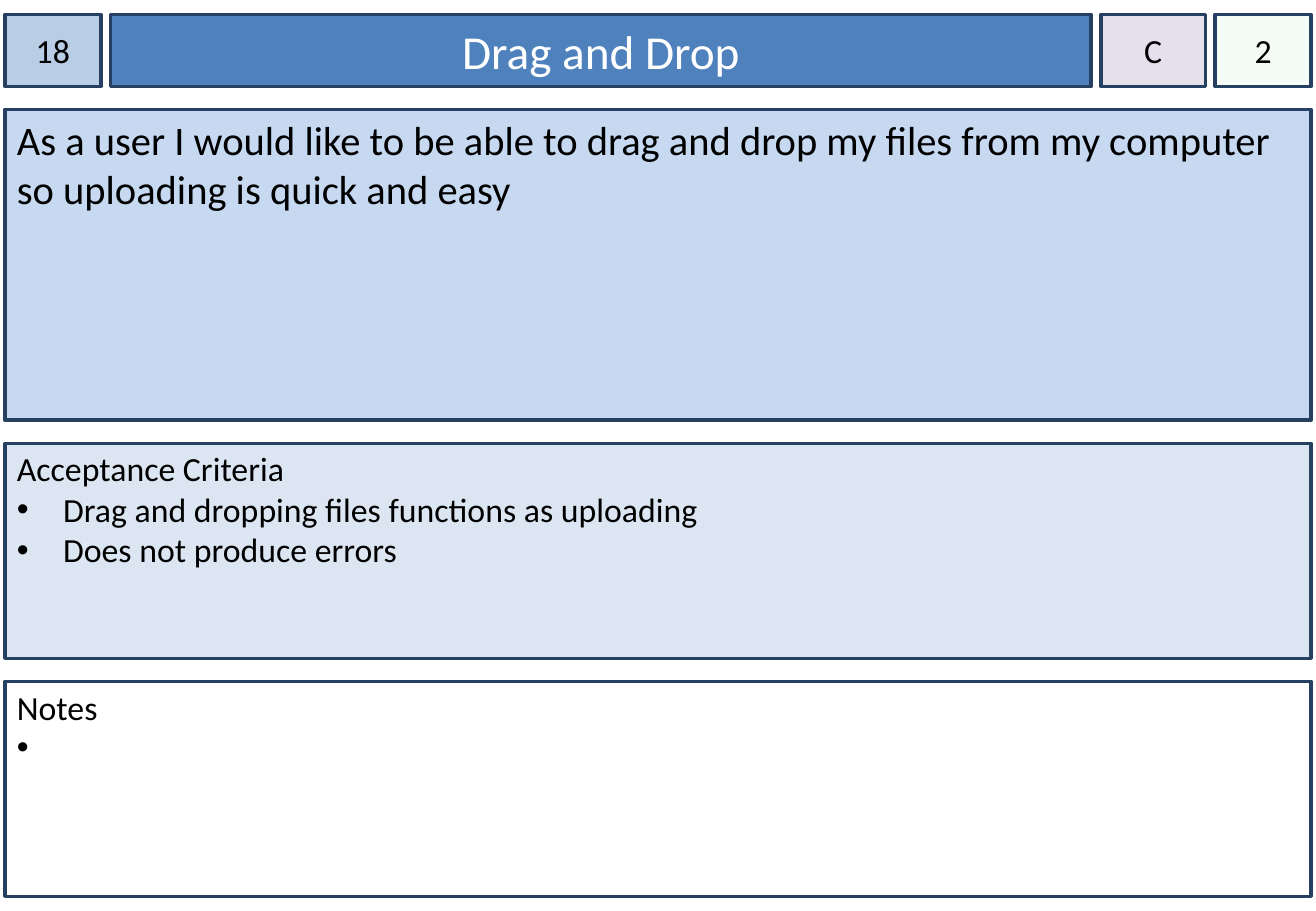
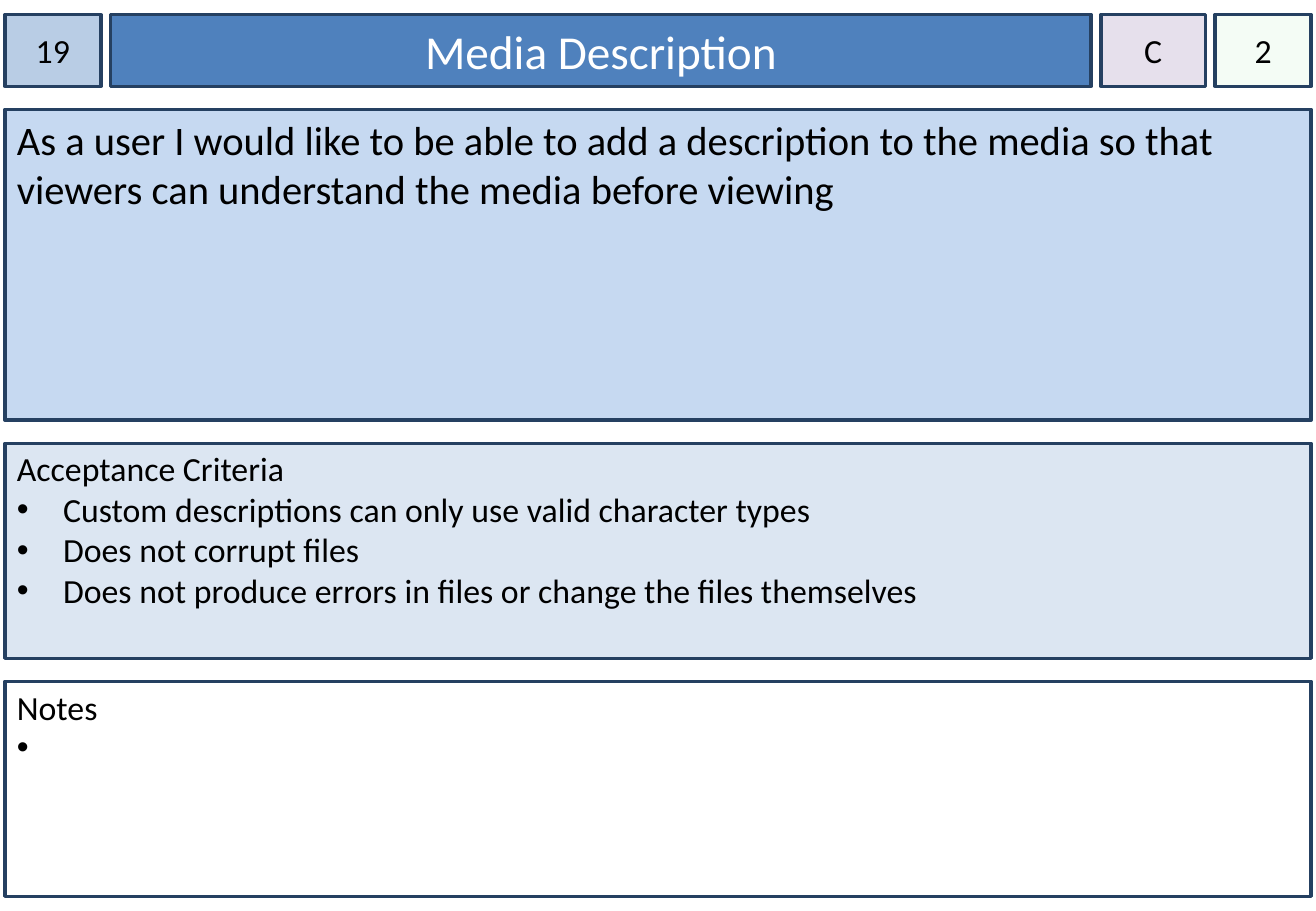
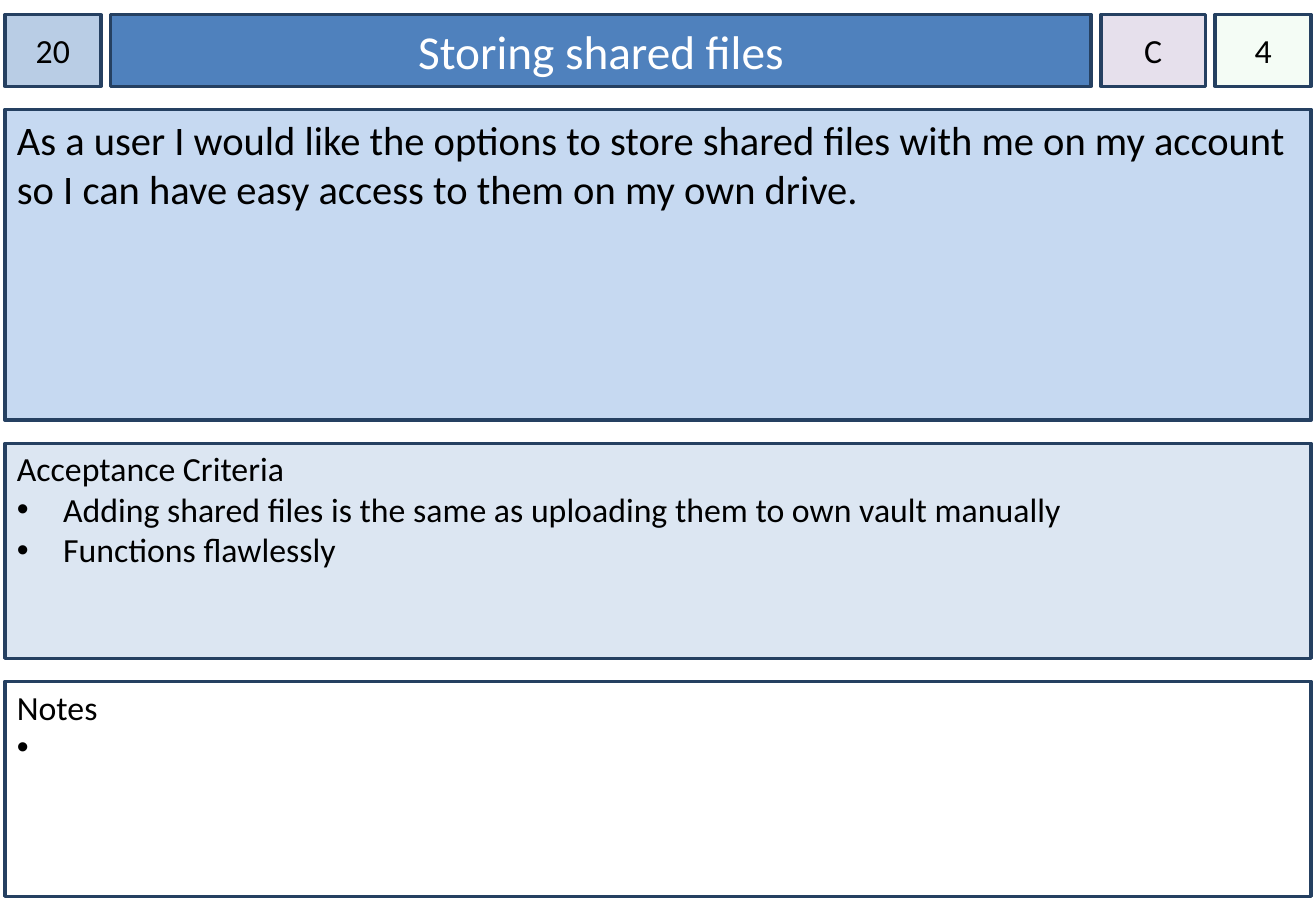
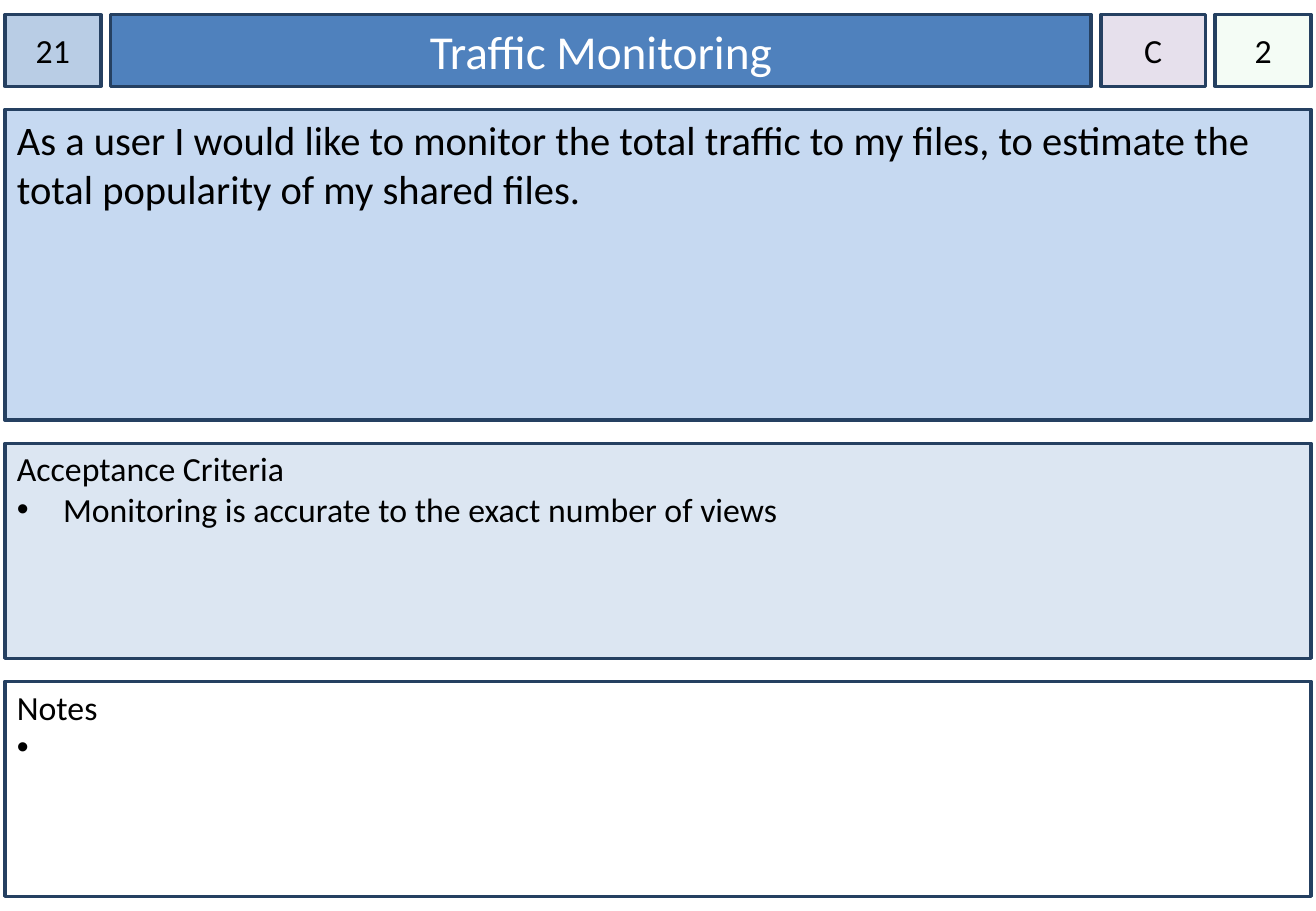
from dataclasses import dataclass

from lxml.etree import SubElement
from pptx import Presentation
from pptx.dml.color import RGBColor
from pptx.enum.shapes import MSO_SHAPE as Preset
from pptx.enum.text import MSO_ANCHOR as Anchor, PP_ALIGN as Align
from pptx.oxml.ns import qn
from pptx.slide import Slide
from pptx.util import Inches, Pt

FONT = "Calibri"
BLACK = RGBColor(0x00, 0x00, 0x00)
WHITE = RGBColor(0xFF, 0xFF, 0xFF)
NAVY = RGBColor(0x25, 0x40, 0x61)
BLUE = RGBColor(0x4F, 0x81, 0xBD)
STEEL = RGBColor(0xB9, 0xCD, 0xE5)
SKY = RGBColor(0xC6, 0xD9, 0xF1)
PALE = RGBColor(0xDC, 0xE6, 0xF2)
LILAC = RGBColor(0xE6, 0xE0, 0xEC)
MINT = RGBColor(0xCC, 0xF0, 0xCD)

SLIDE_WIDTH, SLIDE_HEIGHT = 10.83, 7.5
MARGIN = 0.04
CONTENT_WIDTH = SLIDE_WIDTH - 2 * MARGIN
COLUMN_GAP, ROW_GAP = 0.08, 0.19
BADGE_WIDTH, PRIORITY_WIDTH = 0.79, 0.86
HEADER_TOP, HEADER_HEIGHT = 0.12, 0.59
STORY_HEIGHT, LIST_HEIGHT = 2.56, 1.77

TITLE_LEFT = MARGIN + BADGE_WIDTH + COLUMN_GAP
ESTIMATE_LEFT = SLIDE_WIDTH - MARGIN - BADGE_WIDTH
PRIORITY_LEFT = ESTIMATE_LEFT - COLUMN_GAP - PRIORITY_WIDTH
TITLE_WIDTH = PRIORITY_LEFT - COLUMN_GAP - TITLE_LEFT
STORY_TOP = HEADER_TOP + HEADER_HEIGHT + ROW_GAP
CRITERIA_TOP = STORY_TOP + STORY_HEIGHT + ROW_GAP
NOTES_TOP = CRITERIA_TOP + LIST_HEIGHT + ROW_GAP


@dataclass(frozen=True)
class Panel:
    left: float
    top: float
    width: float
    height: float
    fill: RGBColor
    size: int = 20
    color: RGBColor = BLACK
    centered: bool = False
    side_inset: float = 0.1
    top_inset: float = 0.05
    indent: float = 0
    opacity: int = 100


@dataclass(frozen=True)
class StoryCard:
    number: str
    title: str
    story: str
    criteria: tuple[str, ...]
    estimate: str
    priority: str = "C"


def header_panel(left: float, width: float, fill: RGBColor, size: int = 20,
                 color: RGBColor = BLACK, side_inset: float = 0,
                 opacity: int = 100) -> Panel:
    return Panel(left, HEADER_TOP, width, HEADER_HEIGHT, fill, size, color,
                 True, side_inset, opacity=opacity)


def list_panel(top: float, fill: RGBColor, indent: float) -> Panel:
    return Panel(MARGIN, top, CONTENT_WIDTH, LIST_HEIGHT, fill,
                 top_inset=0.04, indent=indent)


NUMBER = header_panel(MARGIN, BADGE_WIDTH, STEEL)
TITLE = header_panel(TITLE_LEFT, TITLE_WIDTH, BLUE, 28, WHITE, 0.1)
PRIORITY = header_panel(PRIORITY_LEFT, PRIORITY_WIDTH, LILAC)
ESTIMATE = header_panel(ESTIMATE_LEFT, BADGE_WIDTH, MINT, opacity=20)
STORY = Panel(MARGIN, STORY_TOP, CONTENT_WIDTH, STORY_HEIGHT, SKY, 24)
CRITERIA = list_panel(CRITERIA_TOP, PALE, 0.38)
NOTES = list_panel(NOTES_TOP, WHITE, 0.2)

CARDS = (
    StoryCard(
        "18", "Drag and Drop",
        "As a user I would like to be able to drag and drop my files from my "
        "computer so uploading is quick and easy",
        ("Drag and dropping files functions as uploading",
         "Does not produce errors"),
        "2"),
    StoryCard(
        "19", "Media Description",
        "As a user I would like to be able to add a description to the media "
        "so that viewers can understand the media before viewing",
        ("Custom descriptions can only use valid character types",
         "Does not corrupt files",
         "Does not produce errors in files or change the files themselves"),
        "2"),
    StoryCard(
        "20", "Storing shared files",
        "As a user I would like the options to store shared files with me on "
        "my account so I can have easy access to them on my own drive.",
        ("Adding shared files is the same as uploading them to own vault manually",
         "Functions flawlessly"),
        "4"),
    StoryCard(
        "21", "Traffic Monitoring",
        "As a user I would like to monitor the total traffic to my files, to "
        "estimate the total popularity of my shared files.",
        ("Monitoring is accurate to the exact number of views",),
        "2"),
)


def add_bullet(paragraph, indent: float) -> None:
    properties = paragraph._p.get_or_add_pPr()
    properties.set("marL", str(Inches(indent)))
    properties.set("indent", str(-Inches(indent)))
    SubElement(properties, qn("a:buFont")).set("typeface", "Arial")
    SubElement(properties, qn("a:buChar")).set("char", "•")


def draw_panel(slide: Slide, panel: Panel, text: str,
               bullets: tuple[str, ...] = ()) -> None:
    shape = slide.shapes.add_shape(
        Preset.RECTANGLE, Inches(panel.left), Inches(panel.top),
        Inches(panel.width), Inches(panel.height))
    shape.shadow.inherit = False
    shape.fill.solid()
    shape.fill.fore_color.rgb = panel.fill
    if panel.opacity < 100:
        color = shape._element.spPr.find(qn("a:solidFill"))[0]
        SubElement(color, qn("a:alpha")).set("val", str(panel.opacity * 1000))
    shape.line.color.rgb = NAVY
    shape.line.width = Pt(2)

    frame = shape.text_frame
    frame.word_wrap = True
    frame.vertical_anchor = Anchor.MIDDLE if panel.centered else Anchor.TOP
    frame.margin_left = frame.margin_right = Inches(panel.side_inset)
    frame.margin_top = Inches(panel.top_inset)
    frame.margin_bottom = Inches(0.05)
    for index, line in enumerate((text, *bullets)):
        paragraph = frame.add_paragraph() if index else frame.paragraphs[0]
        paragraph.alignment = Align.CENTER if panel.centered else Align.LEFT
        if index:
            add_bullet(paragraph, panel.indent)
        run = paragraph.add_run()
        run.text = line
        run.font.name = FONT
        run.font.size = Pt(panel.size)
        run.font.color.rgb = panel.color


def draw_card(slide: Slide, card: StoryCard) -> None:
    draw_panel(slide, NUMBER, card.number)
    draw_panel(slide, TITLE, card.title)
    draw_panel(slide, STORY, card.story)
    draw_panel(slide, CRITERIA, "Acceptance Criteria", card.criteria)
    draw_panel(slide, ESTIMATE, card.estimate)
    draw_panel(slide, PRIORITY, card.priority)
    draw_panel(slide, NOTES, "Notes", (" ",))


def main() -> None:
    presentation = Presentation()
    presentation.slide_width = Inches(SLIDE_WIDTH)
    presentation.slide_height = Inches(SLIDE_HEIGHT)
    blank = presentation.slide_layouts[6]
    for card in CARDS:
        draw_card(presentation.slides.add_slide(blank), card)
    presentation.save("out.pptx")


if __name__ == "__main__":
    main()
